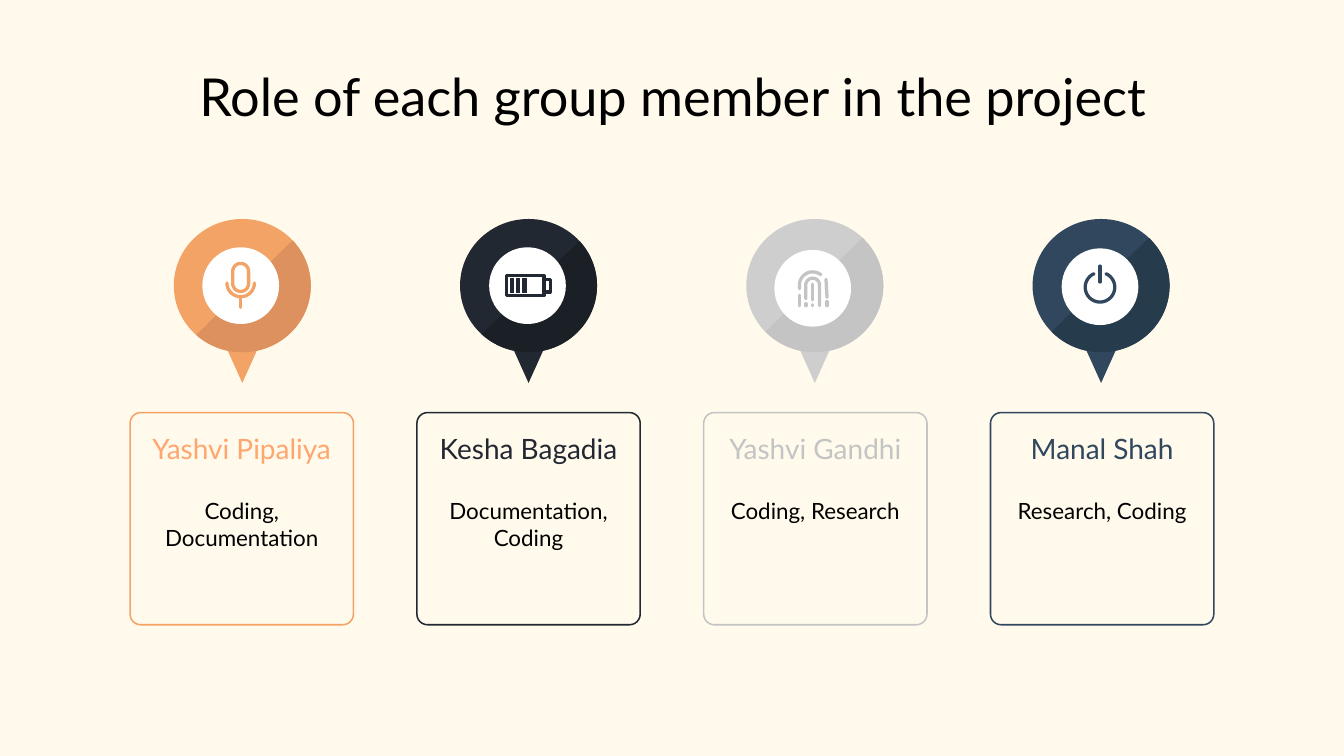
from dataclasses import dataclass
from math import cos, radians, sin

from pptx import Presentation
from pptx.dml.color import RGBColor
from pptx.enum.shapes import MSO_CONNECTOR, MSO_SHAPE
from pptx.enum.text import MSO_ANCHOR, MSO_AUTO_SIZE, PP_ALIGN
from pptx.oxml.ns import qn
from pptx.util import Cm, Pt

ROUNDED, OVAL = MSO_SHAPE.ROUNDED_RECTANGLE, MSO_SHAPE.OVAL
CHORD, POINTER = MSO_SHAPE.CHORD, MSO_SHAPE.FLOWCHART_MERGE
STRAIGHT = MSO_CONNECTOR.STRAIGHT
TOP, MIDDLE = MSO_ANCHOR.TOP, MSO_ANCHOR.MIDDLE
CENTER, NO_FIT = PP_ALIGN.CENTER, MSO_AUTO_SIZE.NONE

CREAM = RGBColor(0xFF, 0xFA, 0xEC)
WHITE = RGBColor(0xFF, 0xFF, 0xFF)
BLACK = RGBColor(0x00, 0x00, 0x00)
ORANGE = RGBColor(0xF2, 0xA3, 0x65)
DARK_ORANGE = RGBColor(0xDD, 0x91, 0x5E)
BRIGHT_ORANGE = RGBColor(0xFF, 0xA6, 0x6F)
CHARCOAL = RGBColor(0x22, 0x28, 0x31)
DARK_CHARCOAL = RGBColor(0x1B, 0x1F, 0x26)
SILVER = RGBColor(0xCE, 0xCE, 0xCE)
GREY = RGBColor(0xC4, 0xC4, 0xC4)
NAVY = RGBColor(0x30, 0x47, 0x5E)
DARK_NAVY = RGBColor(0x26, 0x3C, 0x4C)

FONT = "Lato"
INSET = Cm(0.25)

# Layout in centimetres
CARD_LEFT, CARD_TOP, CARD_WIDTH, CARD_HEIGHT, CARD_PITCH = 2.46, 7.8, 4.22, 4.01, 5.42
NAME_HEIGHT = 1.35
PIN_X, PIN_Y, PIN_PITCH = 4.58, 5.4, 5.41
HEAD_WIDTH, HEAD_HEIGHT = 2.59, 2.52
POINTER_TOP, POINTER_WIDTH, POINTER_HEIGHT = 6.43, 0.73, 0.81
DISC = 1.45

Point = tuple[float, float]


@dataclass
class Stroke:
    """An icon line, in centimetres from the centre of the disc."""
    points: list[Point]
    closed: bool = False
    width: float = 1.75
    cap: str = "rnd"


@dataclass
class Member:
    name: str
    role: str
    accent: RGBColor
    pin: RGBColor
    shade: RGBColor
    name_color: RGBColor
    shade_angles: tuple[float, float]
    disc_offset: Point
    icon: list[Stroke]


def arc(center: Point, radius: float, start: float, end: float) -> list[Point]:
    """Points on an arc; angles in degrees, clockwise from the right."""
    steps = max(2, round(abs(end - start) / 10))
    angles = [radians(start + (end - start) * i / steps) for i in range(steps + 1)]
    return [(center[0] + radius * cos(a), center[1] + radius * sin(a)) for a in angles]


MICROPHONE = [
    Stroke(arc((0, -0.27), 0.15, 180, 360) + arc((0, -0.04), 0.15, 0, 180), closed=True),
    Stroke(arc((0, -0.05), 0.26, 180, 0)),
    Stroke([(0, 0.21), (0, 0.41)]),
]
BATTERY = [
    Stroke([(-0.4, -0.19), (0.31, -0.19), (0.31, 0.19), (-0.4, 0.19)], closed=True),
    Stroke([(0.31, -0.12), (0.43, -0.12), (0.43, 0.12), (0.31, 0.12)]),
    *[Stroke([(x, -0.14), (x, 0.14)], width=2.4, cap="flat") for x in (-0.29, -0.18, -0.06)],
]
FINGERPRINT = [
    Stroke([(-0.25, 0.01)] + arc((0, -0.06), 0.25, 180, 308)),
    Stroke([(-0.13, 0.2)] + arc((0, -0.06), 0.13, 180, 360) + [(0.13, 0.33)]),
    Stroke([(0.25, -0.17), (0.27, 0.17)]),
    *[Stroke([(x, top), (x, bottom)]) for x, top, bottom in (
        (-0.25, 0.13, 0.33), (-0.13, 0.29, 0.33), (0, -0.08, 0.22),
        (0, 0.31, 0.33), (0.27, 0.25, 0.33))],
]
POWER = [
    Stroke(arc((0, 0.01), 0.28, -66, 246)),
    Stroke([(0, -0.39), (0, -0.09)]),
]

MEMBERS = [
    Member("Yashvi Pipaliya", "Coding, Documentation", ORANGE, ORANGE, DARK_ORANGE,
           BRIGHT_ORANGE, (318, 133), (-0.03, 0), MICROPHONE),
    Member("Kesha Bagadia", "Documentation, Coding", CHARCOAL, CHARCOAL, DARK_CHARCOAL,
           CHARCOAL, (319, 134), (-0.02, 0), BATTERY),
    Member("Yashvi Gandhi", "Coding, Research", GREY, SILVER, GREY,
           GREY, (315, 137), (-0.04, 0.05), FINGERPRINT),
    Member("Manal Shah", "Research, Coding", NAVY, NAVY, DARK_NAVY,
           NAVY, (315, 137), (-0.02, 0.02), POWER),
]


def write(shape, text: str, size: float, color: RGBColor, anchor) -> None:
    frame = shape.text_frame
    frame_format = dict(word_wrap=True, auto_size=NO_FIT, vertical_anchor=anchor,
                        margin_left=INSET, margin_right=INSET,
                        margin_top=INSET, margin_bottom=INSET)
    for attribute, value in frame_format.items():
        setattr(frame, attribute, value)
    paragraph = frame.paragraphs[0]
    paragraph.alignment = CENTER
    run = paragraph.add_run()
    run.text = text
    for attribute, value in dict(name=FONT, size=Pt(size)).items():
        setattr(run.font, attribute, value)
    run.font.color.rgb = color


def add_filled(shapes, kind, center: Point, width: float, height: float, color: RGBColor):
    shape = shapes.add_shape(kind, Cm(center[0] - width / 2), Cm(center[1] - height / 2),
                             Cm(width), Cm(height))
    shape.shadow.inherit = False
    shape.fill.solid()
    shape.fill.fore_color.rgb = color
    shape.line.fill.background()
    return shape


def draw_stroke(shapes, stroke: Stroke, center: Point, color: RGBColor) -> None:
    points = [(Cm(center[0] + x), Cm(center[1] + y)) for x, y in stroke.points]
    if len(points) == 2:
        line = shapes.add_connector(STRAIGHT, *points[0], *points[1])
        properties = line._element.spPr
    else:
        builder = shapes.build_freeform(*points[0], scale=1.0)
        builder.add_line_segments(points[1:], close=stroke.closed)
        line = builder.convert_to_shape()
        line.shadow.inherit = False
        line.fill.background()
        properties = line._element.spPr
    line.line.color.rgb = color
    line.line.width = Pt(stroke.width)
    properties.get_or_add_ln().set("cap", stroke.cap)
    if properties.find(qn("a:effectLst")) is None:
        properties.append(properties.makeelement(qn("a:effectLst"), {}))


def draw_pin(shapes, member: Member, x: float) -> None:
    add_filled(shapes, POINTER, (x, POINTER_TOP + POINTER_HEIGHT / 2),
               POINTER_WIDTH, POINTER_HEIGHT, member.pin)
    head = ((x, PIN_Y), HEAD_WIDTH, HEAD_HEIGHT)
    add_filled(shapes, OVAL, *head, member.pin)
    shade = add_filled(shapes, CHORD, *head, member.shade)
    for i, angle in enumerate(member.shade_angles):
        shade.adjustments[i] = angle * 0.6  # 60000ths of a degree over 100000
    center = (x + member.disc_offset[0], PIN_Y + member.disc_offset[1])
    add_filled(shapes, OVAL, center, DISC, DISC, WHITE)
    for stroke in member.icon:
        draw_stroke(shapes, stroke, center, member.accent)


def draw_card(shapes, member: Member, left: float) -> None:
    card = shapes.add_shape(ROUNDED, Cm(left), Cm(CARD_TOP), Cm(CARD_WIDTH), Cm(CARD_HEIGHT))
    card.adjustments[0] = 0.05
    card.shadow.inherit = False
    card.fill.background()
    card.line.color.rgb = member.accent
    card.line.width = Pt(0.81)
    name = shapes.add_textbox(Cm(left), Cm(CARD_TOP), Cm(CARD_WIDTH), Cm(NAME_HEIGHT))
    write(name, member.name, 15, member.name_color, MIDDLE)
    role = shapes.add_textbox(Cm(left), Cm(CARD_TOP + NAME_HEIGHT), Cm(CARD_WIDTH),
                              Cm(CARD_HEIGHT - NAME_HEIGHT))
    write(role, member.role, 12, BLACK, TOP)


def main() -> None:
    deck = Presentation()
    deck.slide_width, deck.slide_height = Cm(25.4), Cm(14.29)
    slide = deck.slides.add_slide(deck.slide_layouts[5])
    slide.background.fill.solid()
    slide.background.fill.fore_color.rgb = CREAM

    # Title
    title = slide.shapes.title
    for attribute, value in dict(left=1.98, top=1.14, width=21.46, height=1.35).items():
        setattr(title, attribute, Cm(value))
    write(title, "Role of each group member in the project", 28, BLACK, MIDDLE)

    # One pin and card per member
    for i, member in enumerate(MEMBERS):
        draw_card(slide.shapes, member, CARD_LEFT + i * CARD_PITCH)
        draw_pin(slide.shapes, member, PIN_X + i * PIN_PITCH)

    deck.save("out.pptx")


if __name__ == "__main__":
    main()
